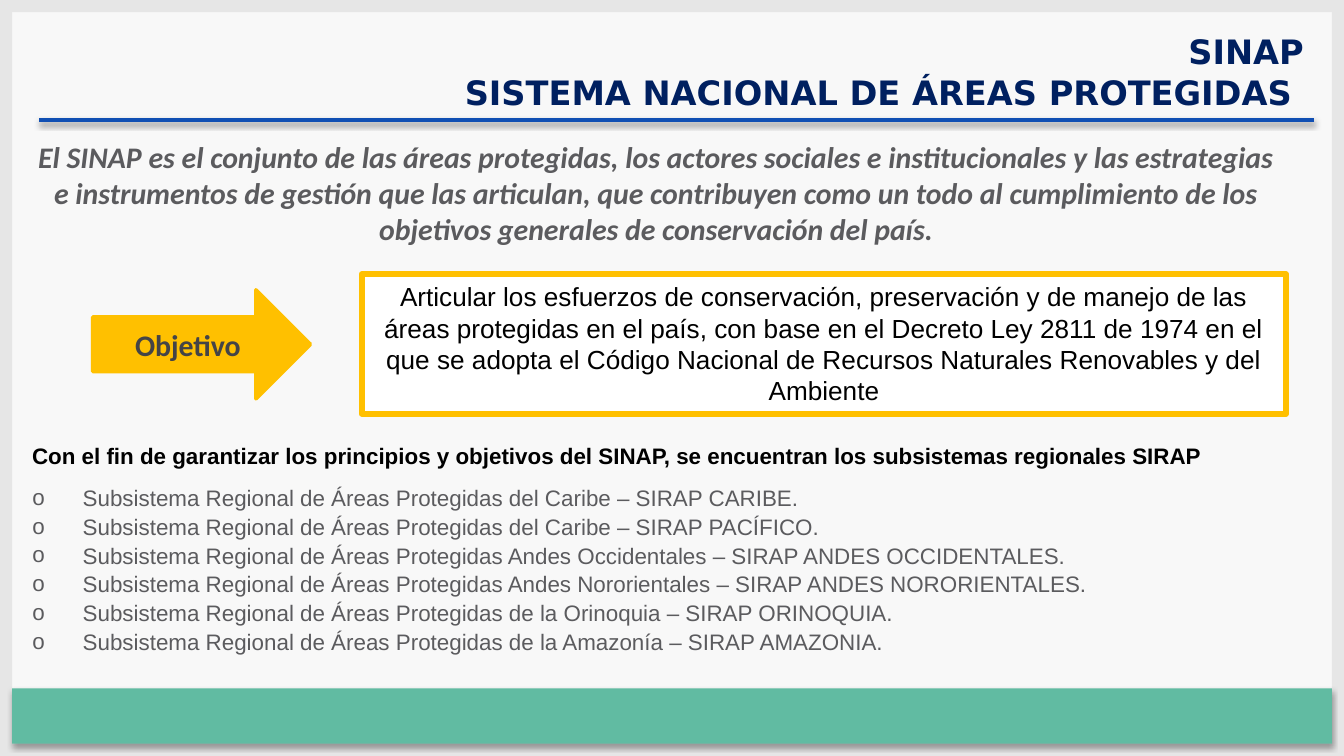
from lxml import etree
from pptx import Presentation
from pptx.dml.color import RGBColor
from pptx.enum.shapes import MSO_CONNECTOR, MSO_SHAPE
from pptx.enum.text import MSO_ANCHOR, MSO_AUTO_SIZE, PP_ALIGN
from pptx.oxml.ns import qn
from pptx.util import Pt

RECT, ARROW = MSO_SHAPE.RECTANGLE, MSO_SHAPE.RIGHT_ARROW
LEFT, CENTER, RIGHT = PP_ALIGN.LEFT, PP_ALIGN.CENTER, PP_ALIGN.RIGHT
TOP, MIDDLE = MSO_ANCHOR.TOP, MSO_ANCHOR.MIDDLE

# Content
TITLE = "SINAP\vSISTEMA NACIONAL DE ÁREAS PROTEGIDAS "
DEFINITION = (
    "El SINAP es el conjunto de las áreas protegidas, los actores sociales e "
    "institucionales y las estrategias e instrumentos de gestión que las articulan, "
    "que contribuyen como un todo al cumplimiento de los objetivos generales de "
    "conservación del país."
)
GOAL_LABEL = "Objetivo"
GOAL = (
    "Articular los esfuerzos de conservación, preservación y de manejo de las áreas "
    "protegidas en el país, con base en el Decreto Ley 2811 de 1974 en el que se adopta "
    "el Código Nacional de Recursos Naturales Renovables y del Ambiente"
)
LIST_HEADING = (
    "Con el fin de garantizar los principios y objetivos del SINAP, "
    "se encuentran los subsistemas regionales SIRAP"
)
SUBSYSTEMS = [
    ("del Caribe", "CARIBE"),
    ("del Caribe", "PACÍFICO"),
    ("Andes Occidentales", "ANDES OCCIDENTALES"),
    ("Andes Nororientales", "ANDES NORORIENTALES"),
    ("de la Orinoquia", "ORINOQUIA"),
    ("de la Amazonía", "AMAZONIA"),
]
COLORS = {
    "background": "F8F8F8", "frame": "E6E6E6", "footer": "61BBA2", "title": "002060",
    "rule": "104FB3", "gray": "5B5B5E", "dark": "444447", "accent": "FFC000",
    "white": "FFFFFF", "black": "000000",
}
W, H, EDGE = 720, 405, 6.5
TEXT_LEFT = 10.08


def rgb(name):
    return RGBColor.from_string(COLORS[name])


def place(shape, left, top, width, height):
    shape.left, shape.top = Pt(left), Pt(top)
    shape.width, shape.height = Pt(width), Pt(height)


def add_shape(kind, box, fill, line=None, weight=0):
    sp = s.shapes.add_shape(kind, *map(Pt, box))
    sp.shadow.inherit = False
    sp.fill.solid()
    sp.fill.fore_color.rgb = rgb(fill)
    if line:
        sp.line.color.rgb = rgb(line)
        sp.line.width = Pt(weight)
        etree.SubElement(sp.line._get_or_add_ln(), qn("a:round"))
    else:
        sp.line.fill.background()
    return sp


def add_shadow(sp, blur, dist, opacity):
    """Give a shape or connector a soft shadow falling straight down."""
    spPr = sp._element.spPr
    effects = spPr.find(qn("a:effectLst"))
    if effects is None:
        effects = etree.SubElement(spPr, qn("a:effectLst"))
    shadow = etree.SubElement(effects, qn("a:outerShdw"), blurRad=str(Pt(blur)),
                              dist=str(Pt(dist)), dir="5400000", rotWithShape="0")
    color = etree.SubElement(shadow, qn("a:srgbClr"), val=COLORS["black"])
    etree.SubElement(color, qn("a:alpha"), val=str(opacity * 1000))


def write(sp, text, size, font, color, align=LEFT, anchor=TOP, bold=False, italic=False):
    tf = sp.text_frame
    tf.text = text
    tf.word_wrap = True
    tf.auto_size = MSO_AUTO_SIZE.NONE
    tf.vertical_anchor = anchor
    for p in tf.paragraphs:
        p.alignment = align
        p.space_before = Pt(0)
        for r in p.runs:
            r.font.size, r.font.name = Pt(size), font
            r.font.bold, r.font.italic = bold, italic
            r.font.color.rgb = rgb(color)


def add_bullet(p, indent):
    pPr = p._p.get_or_add_pPr()
    pPr.set("marL", str(Pt(indent)))
    pPr.set("indent", str(-Pt(indent)))
    etree.SubElement(pPr, qn("a:buFont"), typeface="Arial")
    etree.SubElement(pPr, qn("a:buChar"), char="o")


prs = Presentation()
prs.slide_width, prs.slide_height = Pt(W), Pt(H)
s = prs.slides.add_slide(prs.slide_layouts[1])
s.background.fill.solid()
s.background.fill.fore_color.rgb = rgb("background")

# Frame and footer band
for box in [(0, 0, W, EDGE), (0, H - EDGE, W, EDGE),
            (0, 0, EDGE, H), (W - EDGE, 0, EDGE, H)]:
    add_shape(RECT, box, "frame")
footer = add_shape(RECT, (EDGE, 368.8, W - 2 * EDGE, 29.7), "footer")
add_shadow(footer, 3.1, 1.8, 35)

# Title and its rule
title = s.shapes.title
place(title, 49.7, 13.2, 656, 51)
write(title, TITLE, 18, "DejaVu Sans", "title", RIGHT, bold=True)
rule = s.shapes.add_connector(MSO_CONNECTOR.STRAIGHT, Pt(704), Pt(64.2), Pt(21), Pt(64.2))
rule.line.color.rgb = rgb("rule")
rule.line.width = Pt(2)
add_shadow(rule, 3.1, 1.6, 38)

# Definition
definition = s.shapes.add_textbox(Pt(TEXT_LEFT), Pt(70.8), Pt(683), Pt(65.5))
write(definition, DEFINITION, 16, "Calibri", "gray", CENTER, bold=True, italic=True)

# Goal: arrow and box
arrow = add_shape(ARROW, (49.7, 155.3, 116.6, 58.3), "accent", "accent", 2)
write(arrow, GOAL_LABEL, 16, "Calibri", "dark", CENTER, MIDDLE, bold=True)
goal = add_shape(RECT, (193.8, 146.8, 495.2, 75), "white", "accent", 3)
write(goal, GOAL, 14, "Arial", "black", CENTER)

# Regional subsystems
heading = s.shapes.add_textbox(Pt(TEXT_LEFT), Pt(233.3), Pt(690), Pt(21.6))
write(heading, LIST_HEADING, 12, "Arial", "black", bold=True)
body = s.placeholders[1]
place(body, TEXT_LEFT, 254.9, 690, 100)
lines = [f"Subsistema Regional de Áreas Protegidas {area} – SIRAP {name}."
         for area, name in SUBSYSTEMS]
write(body, "\n".join(lines), 12, "Arial", "gray")
for p in body.text_frame.paragraphs:
    p.line_spacing = Pt(15.4)
    add_bullet(p, 27)

prs.save("out.pptx")
